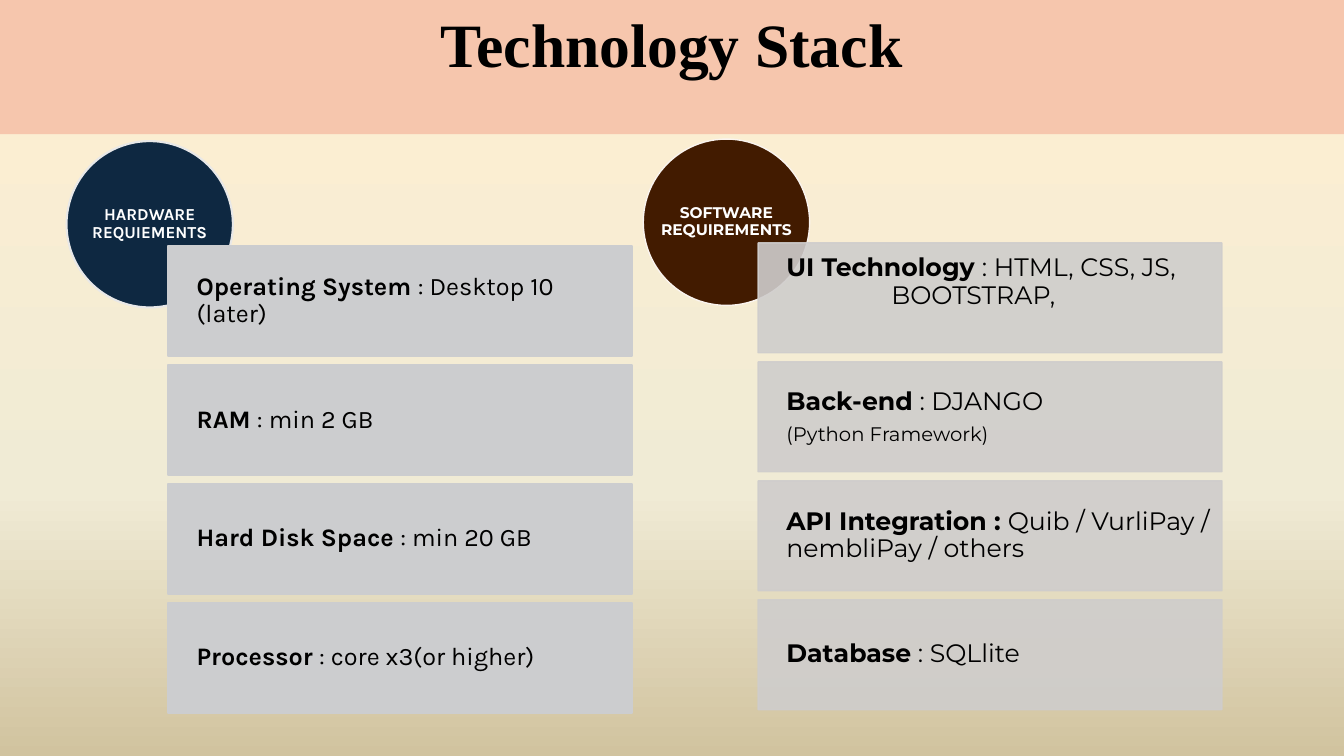
from dataclasses import dataclass

from lxml.etree import SubElement
from pptx import Presentation
from pptx.dml.color import RGBColor
from pptx.enum.shapes import MSO_SHAPE as Shape
from pptx.enum.text import MSO_ANCHOR as Anchor, PP_ALIGN as Align
from pptx.oxml import parse_xml
from pptx.oxml.ns import nsdecls, qn
from pptx.util import Inches, Pt


@dataclass(frozen=True)
class Theme:
    banner: str = "F6C6AD"
    ink: str = "000000"
    white: str = "FFFFFF"
    background: tuple = ((0, "FFEFD1"), (65, "F0EBD5"), (100, "D1C39F"))
    title_font: str = "Times New Roman"
    title_size: int = 44
    body_size: int = 18
    note_size: int = 14
    line_spacing: float = 0.9
    space_share: float = 0.35


@dataclass(frozen=True)
class Column:
    heading: str
    heading_size: int
    font: str
    left: float
    top: float
    badge_left: float
    badge_top: float
    badge_fill: str
    badge_line: str
    card_fill: str
    line_width: float
    opacity: int
    cards: tuple


THEME = Theme()
SLIDE_WIDTH, SLIDE_HEIGHT = 13.33, 7.5
BADGE_SIZE = 1.65
CARD_WIDTH, CARD_HEIGHT, ROW_PITCH = 4.6, 1.09, 1.18
CARD_INSETS = (0.28, 0.12, 0.12, 0.12)
HANGING_INDENT = 1.04

# Each card: its label, its value and an optional small note
HARDWARE = Column(
    "HARDWARE\vREQUIEMENTS", 12, "Karla", 1.67, 2.44, 0.66, 1.4,
    "0E2841", "E8E8E8", "CCCDCF", 1.5, 100,
    (("Operating System ", ": Desktop 10 (later)", ""),
     ("RAM ", ": min 2 GB", ""),
     ("Hard Disk Space ", ": min 20 GB", ""),
     ("Processor ", ": core x3(or higher)", "")))
SOFTWARE = Column(
    "SOFTWARE\vREQUIREMENTS", 11, "Montserrat", 7.52, 2.41, 6.38, 1.38,
    "421B00", "FAF4EF", "CFCDCC", 1, 90,
    (("UI Technology ", ": HTML, CSS, JS, BOOTSTRAP,", ""),
     ("Back-end", " : DJANGO", "(Python Framework)"),
     ("API Integration : ", "Quib / VurliPay / nembliPay / others", ""),
     ("Database", " : SQLlite", "")))


def set_background(page):
    stops = "".join(
        f'<a:gs pos="{share * 1000}"><a:srgbClr val="{color}"/></a:gs>'
        for share, color in THEME.background)
    page.element.cSld.insert(0, parse_xml(
        f'<p:bg {nsdecls("p", "a")}><p:bgPr><a:gradFill><a:gsLst>{stops}</a:gsLst>'
        '<a:lin ang="5400000" scaled="0"/></a:gradFill><a:effectLst/></p:bgPr></p:bg>'))


def add_box(page, kind, bounds, fill, line=None, line_width=1, opacity=100):
    box = page.shapes.add_shape(kind, *(Inches(length) for length in bounds))
    box.shadow.inherit = False
    box.fill.solid()
    box.fill.fore_color.rgb = RGBColor.from_string(fill)
    if line:
        box.line.color.rgb = RGBColor.from_string(line)
        box.line.width = Pt(line_width)
    else:
        box.line.fill.background()
    if opacity < 100:
        for color in box.element.spPr.iter(qn("a:srgbClr")):
            SubElement(color, qn("a:alpha")).set("val", str(opacity * 1000))
    return box


def set_frame(box, insets=(0, 0, 0, 0), anchor=Anchor.MIDDLE, wrap=True):
    frame = box.text_frame
    frame.word_wrap = wrap
    frame.vertical_anchor = anchor
    (frame.margin_left, frame.margin_top,
     frame.margin_right, frame.margin_bottom) = map(Inches, insets)
    return frame


def format_para(para, size, align=Align.LEFT):
    para.alignment = align
    para.line_spacing = THEME.line_spacing
    para.space_after = Pt(round(size * THEME.space_share, 1))


def add_span(para, text, font, size, color, bold=False):
    span = para.add_run()
    span.text = text
    span.font.name = font
    span.font.size = Pt(size)
    span.font.bold = bold
    span.font.color.rgb = RGBColor.from_string(color)


def add_banner(page, text):
    box = add_box(page, Shape.RECTANGLE, (0, -0.38, SLIDE_WIDTH, 1.71), THEME.banner)
    para = set_frame(box).paragraphs[0]
    para.alignment = Align.CENTER
    para.line_spacing = THEME.line_spacing
    add_span(para, text, THEME.title_font, THEME.title_size, THEME.ink, True)


def add_badge(page, column):
    bounds = (column.badge_left, column.badge_top, BADGE_SIZE, BADGE_SIZE)
    box = add_box(page, Shape.OVAL, bounds, column.badge_fill,
                  column.badge_line, column.line_width)
    para = set_frame(box, wrap=False).paragraphs[0]
    format_para(para, column.heading_size, Align.CENTER)
    for index, word in enumerate(column.heading.split("\v")):
        if index:
            para.add_line_break()
        add_span(para, word, column.font, column.heading_size, THEME.white, True)


def add_card(page, column, row, label, value, note):
    bounds = (column.left, column.top + row * ROW_PITCH, CARD_WIDTH, CARD_HEIGHT)
    box = add_box(page, Shape.RECTANGLE, bounds, column.card_fill,
                  column.card_fill, column.line_width, column.opacity)
    frame = set_frame(box, CARD_INSETS)
    para = frame.paragraphs[0]
    format_para(para, THEME.body_size)
    add_span(para, label, column.font, THEME.body_size, THEME.ink, True)
    add_span(para, value, column.font, THEME.body_size, THEME.ink)
    if note:
        para = frame.add_paragraph()
        format_para(para, THEME.note_size)
        add_span(para, note, column.font, THEME.note_size, THEME.ink)
    return frame


def hang_from_top(frame):
    frame.vertical_anchor = Anchor.TOP
    properties = frame.paragraphs[0]._p.get_or_add_pPr()
    properties.set("marL", str(Inches(HANGING_INDENT)))
    properties.set("indent", str(-Inches(HANGING_INDENT)))


def add_column(page, column):
    add_badge(page, column)
    return [add_card(page, column, row, *card)
            for row, card in enumerate(column.cards)]


def main():
    deck = Presentation()
    deck.slide_width, deck.slide_height = Inches(SLIDE_WIDTH), Inches(SLIDE_HEIGHT)
    page = deck.slides.add_slide(deck.slide_layouts[6])
    set_background(page)
    add_banner(page, "Technology Stack")

    # Requirement columns
    software_frames = add_column(page, SOFTWARE)
    hang_from_top(software_frames[0])
    add_column(page, HARDWARE)
    deck.save("out.pptx")


if __name__ == "__main__":
    main()
